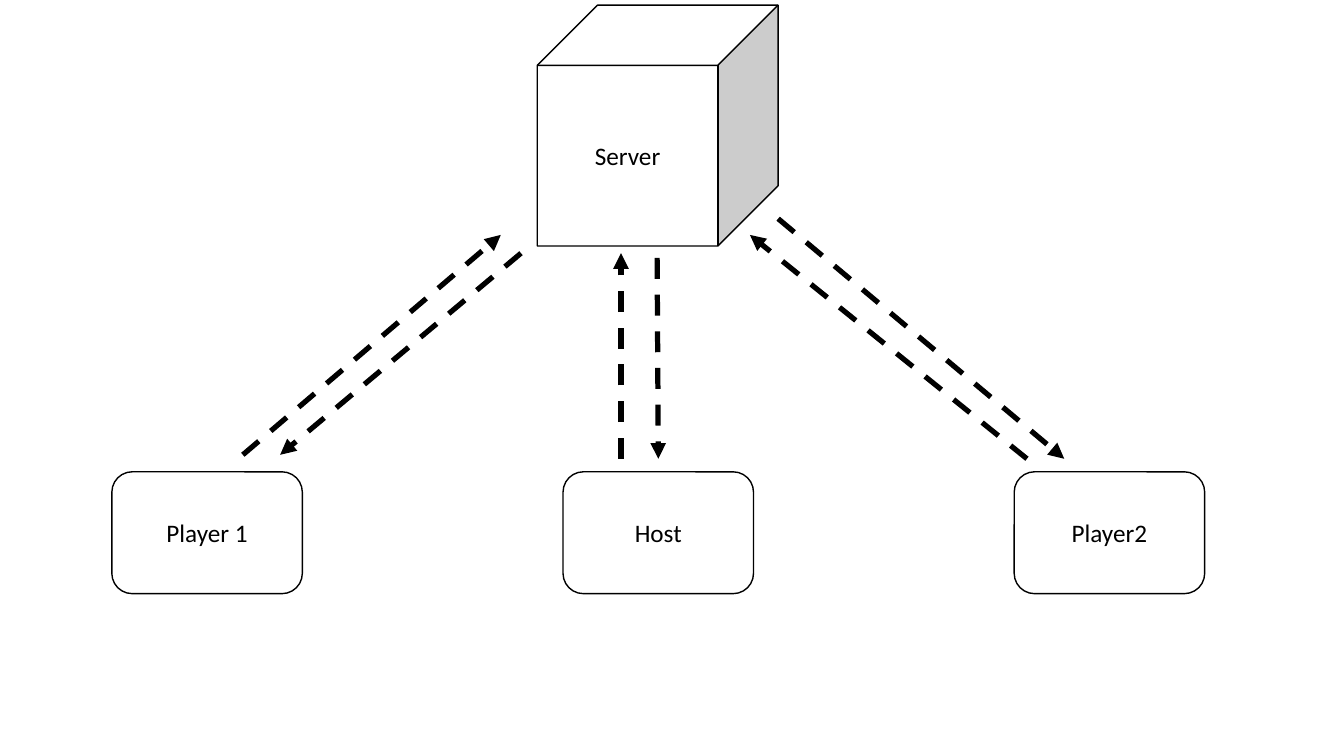
"""Builds a slide showing three game clients exchanging messages with a server."""
from dataclasses import dataclass

import pptx
import pptx.dml.color
import pptx.enum.dml
import pptx.enum.shapes
import pptx.enum.text
import pptx.oxml
import pptx.oxml.ns
import pptx.util
from pptx.util import Cm

Shapes = pptx.enum.shapes.MSO_SHAPE


@dataclass(frozen=True)
class Theme:
    """Colours, font and sizes of the slide."""
    ink: pptx.dml.color.RGBColor = pptx.dml.color.RGBColor(0, 0, 0)
    paper: pptx.dml.color.RGBColor = pptx.dml.color.RGBColor(255, 255, 255)
    font: str = "Calibri"
    label: pptx.util.Pt = pptx.util.Pt(18)
    outline: pptx.util.Pt = pptx.util.Pt(1)
    arrow: pptx.util.Pt = pptx.util.Pt(3.75)


class Diagram:
    """Draws elements on one page in one theme."""

    def __init__(self, page, theme):
        """Keep the page and the theme."""
        self.page = page
        self.theme = theme

    def node(self, kind, label, left, top, width, height):
        """Add an outlined shape with a centred label; lengths in cm."""
        theme = self.theme
        box = self.page.shapes.add_shape(
            kind, Cm(left), Cm(top), Cm(width), Cm(height))
        box.shadow.inherit = False
        box.fill.solid()
        box.fill.fore_color.rgb = theme.paper
        box.line.color.rgb = theme.ink
        box.line.width = theme.outline
        box.text_frame.word_wrap = True
        box.text_frame.vertical_anchor = pptx.enum.text.MSO_ANCHOR.MIDDLE
        para = box.text_frame.paragraphs[0]
        para.text = label
        para.alignment = pptx.enum.text.PP_ALIGN.CENTER
        para.font.name = theme.font
        para.font.size = theme.label
        para.font.color.rgb = theme.ink

    def arrow(self, start, end):
        """Add a dashed arrow between two points in cm."""
        connector = self.page.shapes.add_connector(
            pptx.enum.shapes.MSO_CONNECTOR.STRAIGHT,
            *(Cm(length) for length in start + end))
        connector.line.color.rgb = self.theme.ink
        connector.line.width = self.theme.arrow
        connector.line.dash_style = pptx.enum.dml.MSO_LINE.DASH
        properties = connector.element.spPr
        outline = properties.find(pptx.oxml.ns.qn("a:ln"))
        namespace = pptx.oxml.ns.nsdecls("a")
        outline.append(pptx.oxml.parse_xml(
            f'<a:tailEnd {namespace} type="triangle"/>'))
        properties.append(pptx.oxml.parse_xml(f"<a:effectLst {namespace}/>"))


CLIENTS = ("Player 1", "Host", "Player2")
CLIENT_LEFT, CLIENT_PITCH = 2.82, 11.37
MESSAGES = (
    ((6.12, 11.46), (12.62, 5.92)),   # Player 1 to server
    ((13.13, 6.38), (7.06, 11.46)),   # server to Player 1
    ((15.65, 11.56), (15.65, 6.38)),  # host to server
    ((16.56, 6.5), (16.59, 11.56)),   # server to host
    ((25.88, 11.56), (18.9, 5.92)),   # Player2 to server
    ((19.61, 5.51), (26.82, 11.56)),  # server to Player2
)


def main():
    """Build and save the deck."""
    deck = pptx.Presentation()
    deck.slide_width, deck.slide_height = Cm(33.87), Cm(19.05)
    blank = deck.slide_layouts.get_by_name("Blank")
    diagram = Diagram(deck.slides.add_slide(blank), Theme())
    diagram.node(Shapes.CUBE, "Server", 13.54, 0.13, 6.07, 6.07)
    for index, client in enumerate(CLIENTS):
        left = CLIENT_LEFT + index * CLIENT_PITCH
        diagram.node(Shapes.ROUNDED_RECTANGLE, client, left, 11.89, 4.8, 3.07)
    for start, end in MESSAGES:
        diagram.arrow(start, end)
    deck.save("out.pptx")


main()
